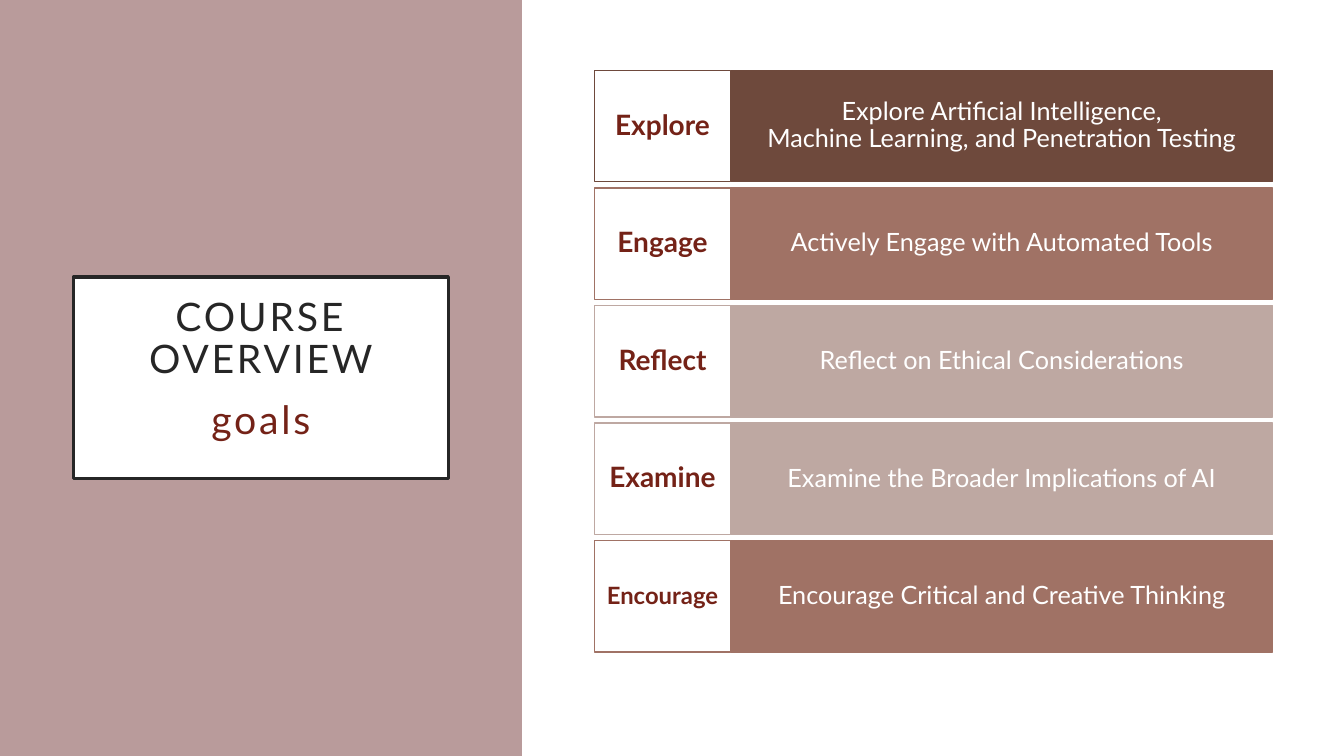
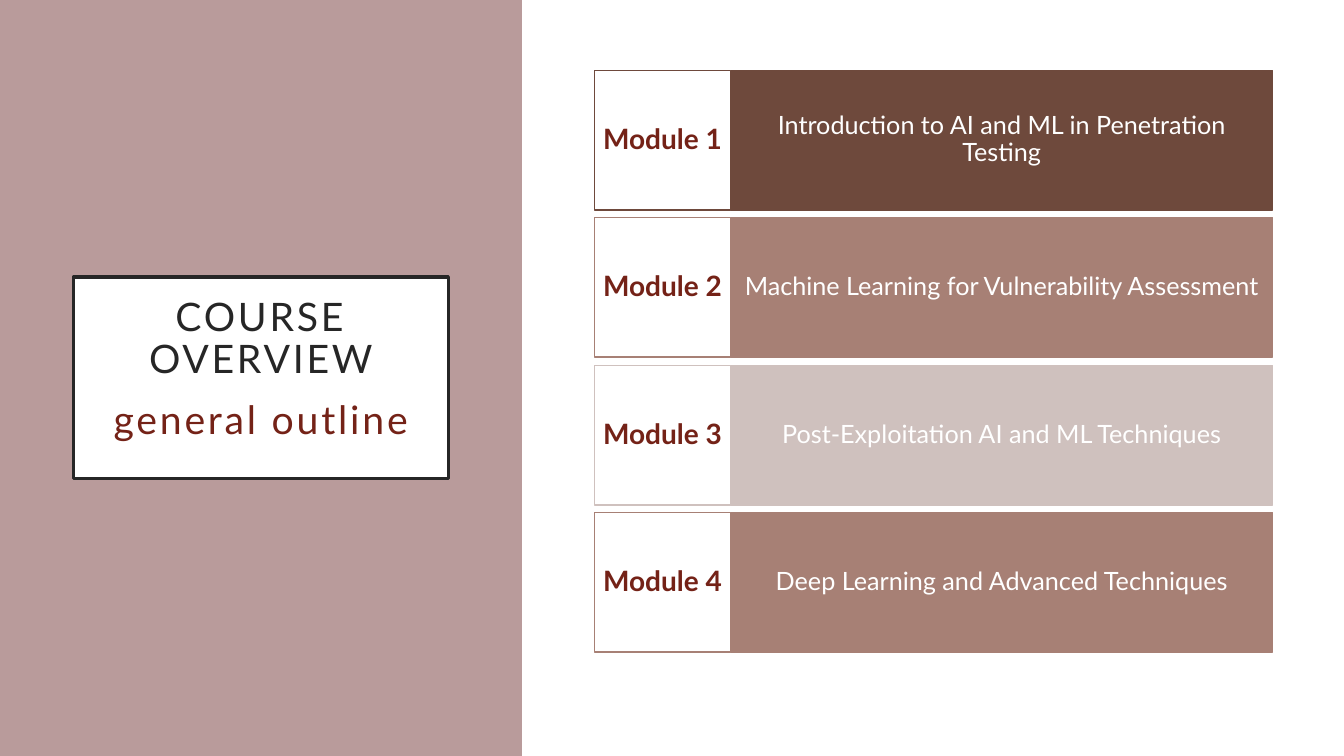
from pptx import Presentation
from pptx import util as u
from pptx.dml.color import RGBColor
from pptx.enum import shapes, text

PX = 9525  # EMU in one px, 96 px to the inch
WIDTH, HEIGHT = 1280, 720

WHITE = RGBColor(0xFF, 0xFF, 0xFF)
INK = RGBColor(0x26, 0x26, 0x26)
WINE = RGBColor(0x74, 0x22, 0x17)
ROSE = RGBColor(0xB9, 0x9B, 0x9B)
COCOA = RGBColor(0x6E, 0x49, 0x3C)
CLAY = RGBColor(0xA0, 0x72, 0x65)
SAND = RGBColor(0xBE, 0xA8, 0xA2)
TAN = RGBColor(0xA7, 0x80, 0x75)
PALE = RGBColor(0xCF, 0xC1, 0xBE)

GOALS = [
    ("Explore", "Explore Artificial Intelligence,\n"
     "Machine Learning, and Penetration Testing", COCOA, 20),
    ("Engage", "Actively Engage with Automated Tools", CLAY, 20),
    ("Reflect", "Reflect on Ethical Considerations", SAND, 20),
    ("Examine", "Examine the Broader Implications of AI", SAND, 20),
    ("Encourage", "Encourage Critical and Creative Thinking", CLAY, 17),
]
MODULES = [
    ("Module 1", "Introduction to AI and ML in Penetration Testing", COCOA, 20),
    ("Module 2", "Machine Learning for Vulnerability Assessment", TAN, 20),
    ("Module 3", "Post-Exploitation AI and ML Techniques", PALE, 20),
    ("Module 4", "Deep Learning and Advanced Techniques", TAN, 20),
]


class Deck:
    font = "Lato"

    def __init__(self):
        self.prs = Presentation()
        self.prs.slide_width = WIDTH * PX
        self.prs.slide_height = HEIGHT * PX
        self.slide = None

    def start(self, topic):
        """Add a slide with the side band, the title box and its topic."""
        self.slide = self.prs.slides.add_slide(self.prs.slide_layouts[6])
        self.rect(0, 0, 497, HEIGHT, ROSE)
        box = self.rect(70, 264, 357, 192, WHITE, INK, 2.5)
        self.label(box, "COURSE OVERVIEW", 28, INK, text.MSO_ANCHOR.TOP,
                   pad=(19, 19), track=2)
        sub = self.slide.shapes.add_textbox(70 * PX, 264 * PX, 357 * PX, 177 * PX)
        self.label(sub, topic, 28, WINE, text.MSO_ANCHOR.BOTTOM,
                   pad=(19, 19), track=2)

    def rect(self, x, y, w, h, fill, line=None, weight=1):
        box = self.slide.shapes.add_shape(
            shapes.MSO_SHAPE.RECTANGLE, x * PX, y * PX, w * PX, h * PX)
        box.shadow.inherit = False
        box.fill.solid()
        box.fill.fore_color.rgb = fill
        if line is None:
            box.line.fill.background()
        else:
            box.line.color.rgb = line
            box.line.width = u.Pt(weight)
        return box

    def label(self, box, words, size, color, anchor=text.MSO_ANCHOR.MIDDLE,
              pad=(10, 0), bold=False, track=0):
        """Fill a box with one centred paragraph; track is in points."""
        frame = box.text_frame
        frame.word_wrap = True
        frame.vertical_anchor = anchor
        frame.margin_left = frame.margin_right = pad[0] * PX
        frame.margin_top = frame.margin_bottom = pad[1] * PX
        para = frame.paragraphs[0]
        para.text = words
        para.alignment = text.PP_ALIGN.CENTER
        para.line_spacing = 0.9
        para.font.name = self.font
        para.font.size = u.Pt(size)
        para.font.bold = bold
        para.font.color.rgb = color
        if track:
            for run in para.runs:
                run.font._element.set("spc", str(track * 100))

    def rows(self, items):
        """Stack labelled bars over a fixed height, with gaps of 6% of a bar."""
        top, total, gap = 67, 554, 0.06
        high = total / (len(items) + gap * (len(items) - 1))
        for i, (name, words, color, size) in enumerate(items):
            y = round(top + i * high * (1 + gap))
            bar = self.rect(696, y, 516, round(high), color, color)
            self.label(bar, words, 18, WHITE)
            tag = self.rect(566, y, 130, round(high), WHITE, color)
            self.label(tag, name, size, WINE, pad=(6, 0), bold=True)


def main():
    deck = Deck()
    for topic, items in (("goals", GOALS), ("general outline", MODULES)):
        deck.start(topic)
        deck.rows(items)
    deck.prs.save("out.pptx")


if __name__ == "__main__":
    main()
